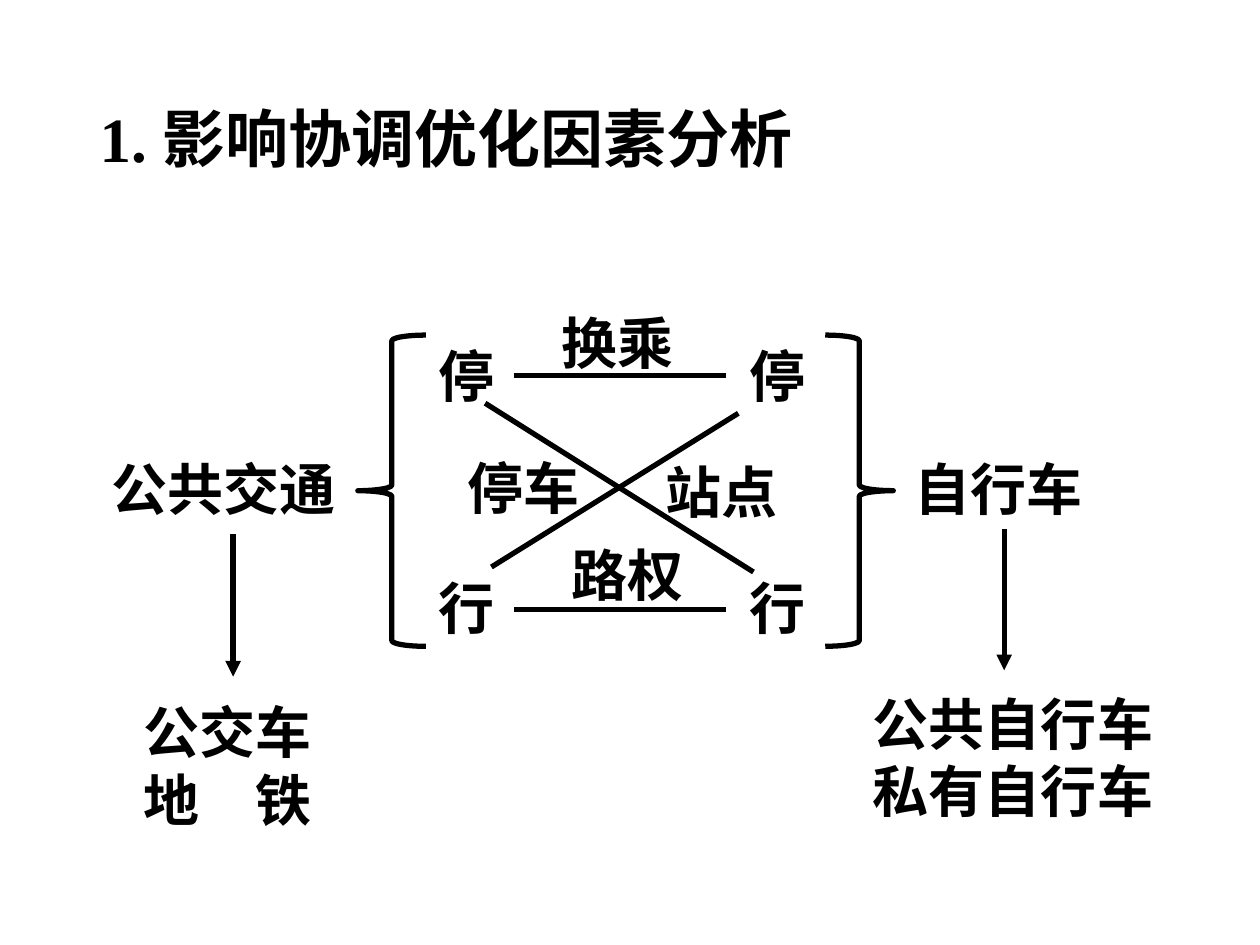
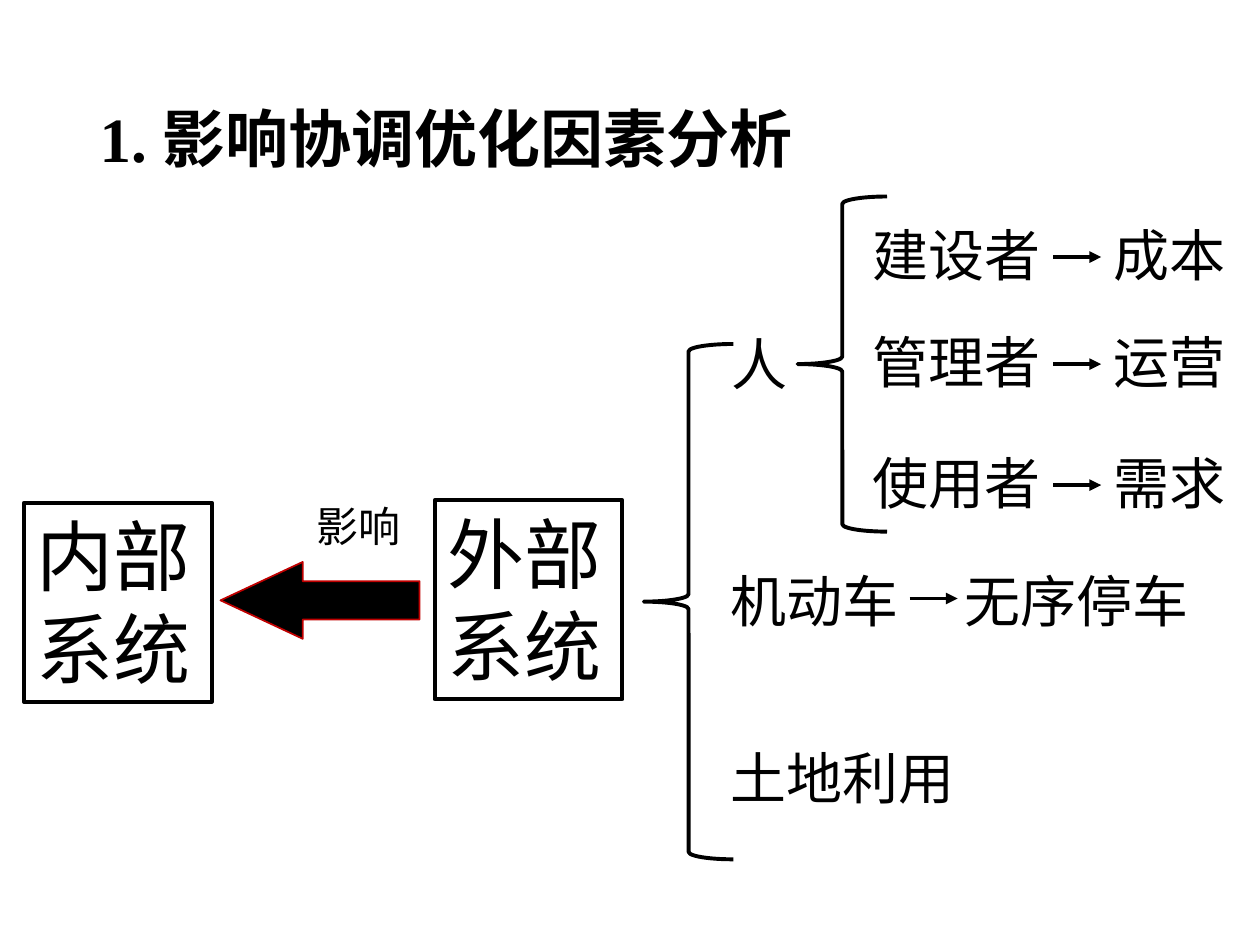
"""Build two slides on the factors behind coordinating public transport and bicycles."""
from lxml.etree import SubElement
from pptx import Presentation
from pptx.dml.color import RGBColor
from pptx.enum.shapes import MSO_CONNECTOR, MSO_SHAPE
from pptx.enum.text import MSO_ANCHOR, MSO_AUTO_SIZE, PP_ALIGN
from pptx.oxml.ns import qn
from pptx.util import Inches, Pt

COLORS = {"ink": "000000", "arrow_edge": "C00000"}
CELL = Inches(10) // 100
BRACES = {"left": MSO_SHAPE.LEFT_BRACE, "right": MSO_SHAPE.RIGHT_BRACE}
TITLE_FRAME = {"vertical_anchor": MSO_ANCHOR.MIDDLE, "auto_size": MSO_AUTO_SIZE.NONE, "word_wrap": True}
TITLE_RUNS = [("1. ", "Times New Roman"), ("影响协调优化因素分析", "Calibri")]

COORDINATION = {
    "bold": True,
    "line_width": 3,
    "labels": [
        ("公共交通", 7.9, 35.6, 22.7, 32),
        ("自行车", 71.6, 35.6, 22.7, 32),
        ("换乘", 43.6, 24, 17.6, 32),
        ("路权", 44.4, 42.4, 17.6, 32),
        ("停车", 36.1, 35.5, 18.1, 32),
        ("站点", 51.8, 35.8, 17.6, 32),
        ("公交车\n地　铁", 10.4, 54.9, 22.7, 32),
        ("公共自行车\n私有自行车", 68.3, 54.2, 24.8, 32),
    ] + [(state, column, row, 10.6, 32)
         for column in (33.8, 58.5)
         for state, row in (("停", 26.6), ("行", 45))],
    "braces": [("left", 28.4, 26.6, 5.4, 24.7), ("right", 65.5, 26.6, 5.4, 24.7)],
    "lines": [
        (40.8, 29.8, 57.6, 29.8),
        (40.8, 48.4, 57.6, 48.4),
        (38.5, 32, 59.8, 45.4),
        (39, 45, 58.6, 32.8),
    ],
    "arrows": [(18.5, 42.4, 18.5, 53.7), (79.7, 42, 79.7, 53.2)],
}

PEOPLE = [("建设者", "成本", 17), ("管理者", "运营", 25.5), ("使用者", "需求", 35.1)]
EXTERNAL_FACTORS = {
    "bold": False,
    "line_width": 2.25,
    "labels": [
        ("影响", 24.1, 39.2, 11.2, 24),
        ("人", 57.1, 25.7, 16.8, 32),
        ("机动车", 57, 44.5, 17.1, 32),
        ("无序停车", 75.6, 44.5, 22.7, 32),
        ("土地利用", 57, 58.5, 21.3, 32),
    ] + [(person, 68.3, row, 17.1, 32) for person, concern, row in PEOPLE]
      + [(concern, 87.4, row, 12.6, 32) for person, concern, row in PEOPLE],
    "braces": [("left", 51.1, 27.3, 7.1, 40.9), ("left", 63.3, 15.6, 7.1, 26.6)],
    "lines": [],
    "arrows": [(72.2, 47.5, 76, 47.5)]
    + [(83.6, row + 3.4, 87.4, row + 3.4) for person, concern, row in PEOPLE],
}


def on_grid(*cells):
    """Turn grid columns and rows into slide lengths."""
    return [round(cell * CELL) for cell in cells]


def write_run(paragraph, text, size, bold, name="Calibri"):
    """Add one formatted run to a paragraph."""
    run = paragraph.add_run()
    run.text = text
    for attribute, value in {"size": Pt(size), "bold": bold, "name": name}.items():
        setattr(run.font, attribute, value)
    run.font.color.rgb = RGBColor.from_string(COLORS["ink"])


presentation = Presentation()
presentation.slide_width, presentation.slide_height = on_grid(100, 75)

for content in (COORDINATION, EXTERNAL_FACTORS):
    slide = presentation.slides.add_slide(presentation.slide_layouts[5])
    title = slide.shapes.title
    title.left, title.top, title.width, title.height = on_grid(6.9, 4, 86.2, 14.5)
    for attribute, value in TITLE_FRAME.items():
        setattr(title.text_frame, attribute, value)
    heading = title.text_frame.paragraphs[0]
    heading.alignment = PP_ALIGN.LEFT
    heading.line_spacing = 0.9
    for text, font_name in TITLE_RUNS:
        write_run(heading, text, 36, True, font_name)

    for text, column, row, width, size in content["labels"]:
        lines = text.split("\n")
        height = 1 + 0.17 * size * len(lines)
        label = slide.shapes.add_textbox(*on_grid(column, row, width, height))
        label.text_frame.word_wrap = True
        for index, line in enumerate(lines):
            paragraph = label.text_frame.add_paragraph() if index else label.text_frame.paragraphs[0]
            write_run(paragraph, line, size, content["bold"])

    for side, *place in content["braces"]:
        brace = slide.shapes.add_shape(BRACES[side], *on_grid(*place))
        brace.shadow.inherit = False
        brace.fill.background()
        brace.line.color.rgb = RGBColor.from_string(COLORS["ink"])
        brace.line.width = Pt(content["line_width"])

    for ends in content["lines"] + content["arrows"]:
        connector = slide.shapes.add_connector(MSO_CONNECTOR.STRAIGHT, *on_grid(*ends))
        connector.line.color.rgb = RGBColor.from_string(COLORS["ink"])
        connector.line.width = Pt(content["line_width"])
        if ends in content["arrows"]:
            SubElement(connector.line._get_or_add_ln(), qn("a:tailEnd"), type="triangle")
        SubElement(connector._element.spPr, qn("a:effectLst"))

for system, column, row in (("内部系统", 1.9, 39.9), ("外部系统", 34.5, 39.7)):
    box = slide.shapes.add_shape(MSO_SHAPE.RECTANGLE, *on_grid(column, row, 14.9, 15.8))
    box.shadow.inherit = False
    box.fill.background()
    box.line.color.rgb = RGBColor.from_string(COLORS["ink"])
    box.line.width = Pt(2.25)
    box.text_frame.word_wrap = True
    box.text_frame.vertical_anchor = MSO_ANCHOR.TOP
    paragraph = box.text_frame.paragraphs[0]
    paragraph.alignment = PP_ALIGN.LEFT
    write_run(paragraph, system, 44, False)

influence = slide.shapes.add_shape(MSO_SHAPE.LEFT_ARROW, *on_grid(17.5, 44.6, 15.8, 6.1))
influence.shadow.inherit = False
influence.adjustments[1] = 1.07
influence.fill.solid()
influence.fill.fore_color.rgb = RGBColor.from_string(COLORS["ink"])
influence.line.color.rgb = RGBColor.from_string(COLORS["arrow_edge"])
influence.line.width = Pt(1)

presentation.save("out.pptx")
